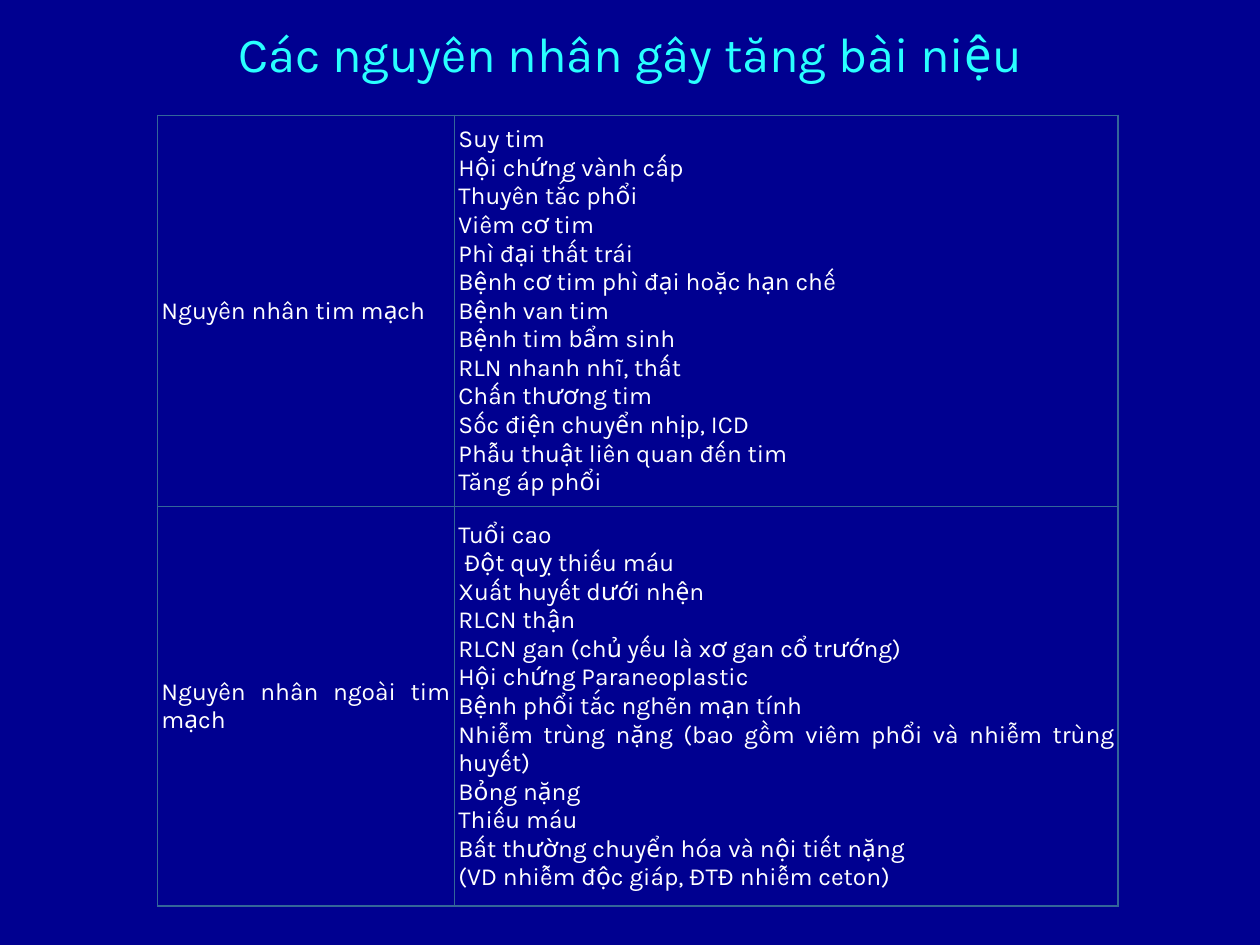
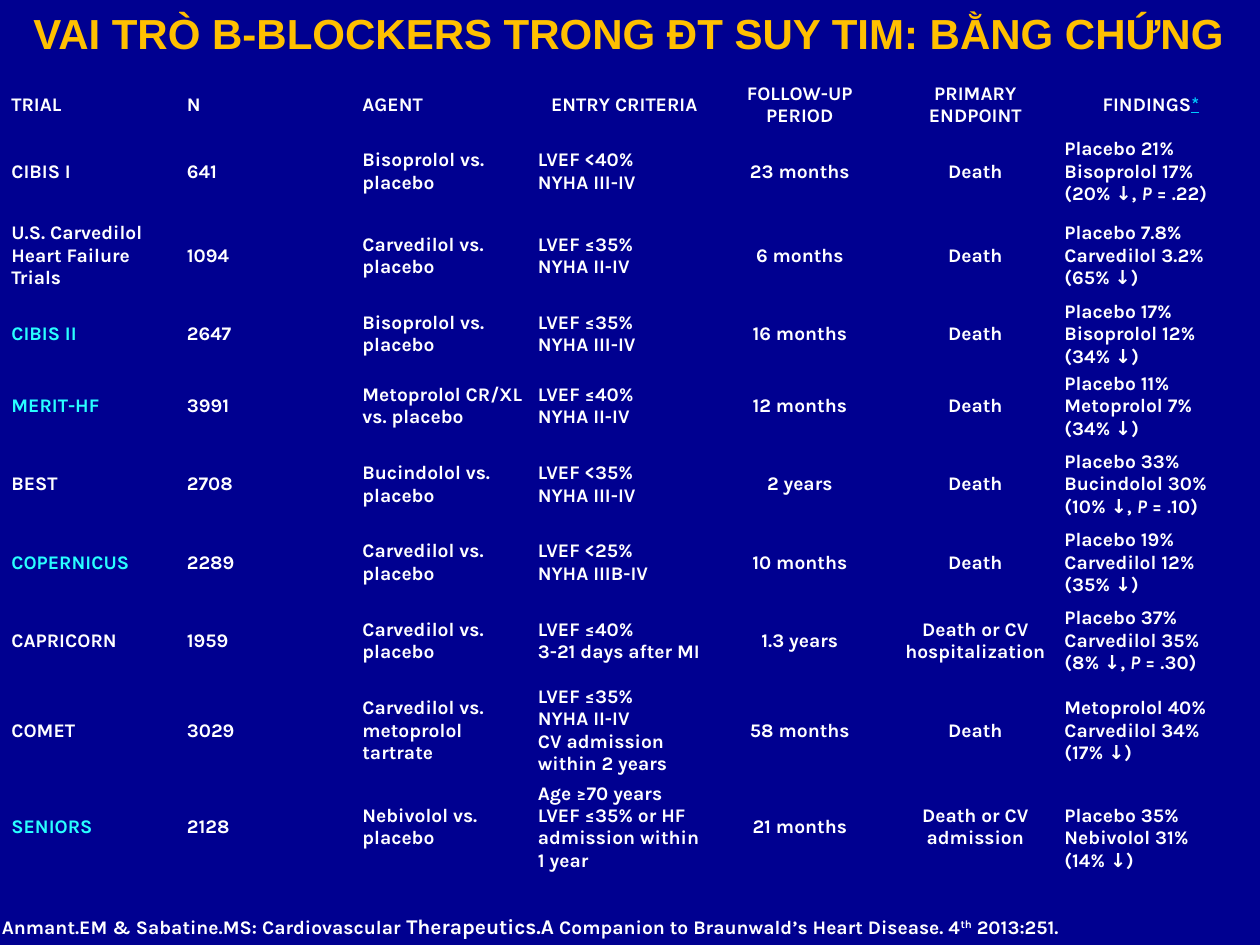
from copy import deepcopy

from lxml import etree
from pptx import Presentation
from pptx.dml.color import RGBColor
from pptx.enum.text import MSO_ANCHOR, PP_ALIGN
from pptx.oxml.ns import qn
from pptx.util import Pt

MIDDLE, TOP = MSO_ANCHOR.MIDDLE, MSO_ANCHOR.TOP
LEFT, CENTER, JUSTIFY = PP_ALIGN.LEFT, PP_ALIGN.CENTER, PP_ALIGN.JUSTIFY
FONT, HEADLINE_FONT = "Karla", "Arial"
PLAIN_TABLE_STYLE = "{2D5ABB26-0587-4C30-8999-92F81FD0307C}"
COLORS = {
    "background": "000090",
    "text": "FFFFFF",
    "accent": "29FFFF",
    "headline": "FFC000",
    "link": "00CCFF",
    "grid": "336699",
}


def write_text(paragraph, text, size, color="text", bold=False, font=FONT, align=LEFT):
    """Fill a paragraph; "|" separates runs and a newline is a line break."""
    first, *others = text.split("|")
    paragraph.text = first
    for piece in others:
        paragraph.add_run().text = piece
    paragraph.alignment = align
    for run in paragraph.runs:
        run.font.name = font
        run.font.size = Pt(size)
        run.font.bold = bold
        run.font.color.rgb = RGBColor.from_string(COLORS[color])
    for line_break in paragraph._p.findall(qn("a:br")):
        line_break.append(deepcopy(paragraph.runs[0]._r.rPr))


def add_plain_table(slide, left, top, widths, heights, margin):
    """Add a table without style or fill, its text centred vertically."""
    table = slide.shapes.add_table(
        len(heights), len(widths), Pt(left), Pt(top), Pt(sum(widths)), Pt(sum(heights))
    ).table
    table._tbl.tblPr.find(qn("a:tableStyleId")).text = PLAIN_TABLE_STYLE
    table.first_row = table.horz_banding = False
    for column, width in zip(table.columns, widths):
        column.width = Pt(width)
    for row, height in zip(table.rows, heights):
        row.height = Pt(height)
    for cell in table.iter_cells():
        cell.fill.background()
        cell.vertical_anchor = MIDDLE
        cell.margin_left = cell.margin_right = Pt(margin)
        cell.margin_top = cell.margin_bottom = Pt(margin)
    return table


presentation = Presentation()
presentation.slide_width, presentation.slide_height = Pt(720), Pt(540)
slides = []
for _ in range(2):
    slide = presentation.slides.add_slide(presentation.slide_layouts[6])
    slide.background.fill.solid()
    slide.background.fill.fore_color.rgb = RGBColor.from_string(COLORS["background"])
    slides.append(slide)
causes_slide, trials_slide = slides

# Text boxes: slide, position and size, anchor, text and its style
text_boxes = [
    (causes_slide, (36, -23.75, 648, 108), MIDDLE, "Các nguyên nhân gây tăng bài niệu",
     dict(size=28, color="accent", align=CENTER)),
    (trials_slide, (-6, 518.5, 726, 21.5), TOP,
     "Anmant.EM & Sabatine.MS: Cardiovascular |Therapeutics.A"
     "| Companion to Braunwald’s Heart Disease. 4|th| 2013:251.",
     dict(size=11, bold=True)),
    (trials_slide, (12, 0.75, 708, 36.5), TOP,
     "VAI TRÒ Β-BLOCKERS TRONG ĐT SUY TIM: BẰNG CHỨNG",
     dict(size=24, color="headline", bold=True, font=HEADLINE_FONT)),
]
for slide, position, anchor, text, style in text_boxes:
    text_frame = slide.shapes.add_textbox(*map(Pt, position)).text_frame
    text_frame.word_wrap = True
    text_frame.vertical_anchor = anchor
    paragraph = text_frame.paragraphs[0]
    write_text(paragraph, text, **style)
    for run in paragraph.runs:
        if run.text == "Therapeutics.A":
            run.font.size = Pt(12)
        elif run.text == "th":
            run._r.rPr.set("baseline", "30000")

# Causes
causes = [
    ("Nguyên nhân tim mạch", [
        "Suy tim",
        "Hội chứng vành cấp",
        "Thuyên tắc phổi",
        "Viêm cơ tim",
        "Phì đại thất trái",
        "Bệnh cơ tim phì đại hoặc hạn chế",
        "Bệnh van tim",
        "Bệnh tim bẩm sinh",
        "RLN nhanh nhĩ, thất",
        "Chấn thương tim",
        "Sốc điện chuyển nhịp, ICD",
        "Phẫu thuật liên quan đến tim",
        "Tăng áp phổi",
    ]),
    ("Nguyên nhân ngoài tim mạch", [
        "Tuổi cao",
        " Đột quỵ thiếu máu",
        "Xuất huyết dưới nhện",
        "RLCN thận",
        "RLCN gan (chủ yếu là xơ gan cổ trướng)",
        "Hội chứng Paraneoplastic",
        "Bệnh phổi tắc nghẽn mạn tính",
        "Nhiễm trùng nặng (bao gồm viêm phổi và nhiễm trùng huyết)",
        "Bỏng nặng",
        "Thiếu máu",
        "Bất thường chuyển hóa và nội tiết nặng",
        "(VD nhiễm độc giáp, ĐTĐ nhiễm ceton)",
    ]),
]
causes_table = add_plain_table(causes_slide, 90, 66, [169.75, 379.25], [223.5, 228.25], 2.25)
for row, (group, items) in enumerate(causes):
    for column, lines in enumerate([[group], items]):
        text_frame = causes_table.cell(row, column).text_frame
        text_frame.text = "\n".join(lines)
        for paragraph, line in zip(text_frame.paragraphs, lines):
            write_text(paragraph, line, 14, align=JUSTIFY)
for cell in causes_table.iter_cells():
    properties = cell._tc.get_or_add_tcPr()
    for index, edge in enumerate(["a:lnL", "a:lnR", "a:lnT", "a:lnB"]):
        border = etree.Element(qn(edge), w=str(Pt(1)))
        fill = etree.SubElement(border, qn("a:solidFill"))
        etree.SubElement(fill, qn("a:srgbClr"), val=COLORS["grid"])
        properties.insert(index, border)

# Trials
trials = [
    ("TRIAL", "N", "AGENT", "ENTRY CRITERIA", "FOLLOW-UP PERIOD", "PRIMARY ENDPOINT",
     "FINDINGS|*"),
    ("CIBIS I", "641", "Bisoprolol vs. placebo", "LVEF <40%\nNYHA III-IV", "23 months",
     "Death", "Placebo 21%\nBisoprolol 17%\n(20% ↓, |P| = .22)"),
    ("U.S. Carvedilol Heart Failure Trials", "1094", "Carvedilol vs. placebo",
     "LVEF ≤35%\nNYHA II-IV", "6 months", "Death",
     "Placebo 7.8%\nCarvedilol 3.2%\n(65% ↓)"),
    ("CIBIS II", "2647", "Bisoprolol vs. placebo", "LVEF ≤35%\nNYHA III-IV", "16 months",
     "Death", "Placebo 17%\nBisoprolol 12%\n(34% ↓)"),
    ("MERIT-HF", "3991", "Metoprolol CR/XL vs. placebo", "LVEF ≤40%\nNYHA II-IV",
     "12 months", "Death", "Placebo 11%\nMetoprolol 7%\n(34% ↓)"),
    ("BEST", "2708", "Bucindolol vs. placebo", "LVEF <35%\nNYHA III-IV", "2 years",
     "Death", "Placebo 33%\nBucindolol 30%\n(10% ↓, |P| = .10)"),
    ("COPERNICUS", "2289", "Carvedilol vs. placebo", "LVEF <25%\nNYHA IIIB-IV",
     "10 months", "Death", "Placebo 19%\nCarvedilol 12%\n(35% ↓)"),
    ("CAPRICORN", "1959", "Carvedilol vs. placebo", "LVEF ≤40%\n3-21 days after MI",
     "1.3 years", "Death or CV hospitalization",
     "Placebo 37%\nCarvedilol 35%\n(8% ↓, |P| = .30)"),
    ("COMET", "3029", "Carvedilol vs. metoprolol tartrate",
     "LVEF ≤35%\nNYHA II-IV\nCV admission within 2 years", "58 months", "Death",
     "Metoprolol 40%\nCarvedilol 34%\n(17% ↓)"),
    ("SENIORS", "2128", "Nebivolol vs. placebo",
     "Age ≥70 years\nLVEF ≤35% or HF admission within 1 year", "21 months",
     "Death or CV admission", "Placebo 35%\nNebivolol 31%\n(14% ↓)"),
]
highlighted_trials = {"CIBIS II", "MERIT-HF", "COPERNICUS", "SENIORS"}
row_heights = [27.25, 48.25, 48.25, 41, 41, 48.25, 41, 48.25, 54, 56.25]
trials_table = add_plain_table(trials_slide, 5.75, 46, [100.29] * 7, row_heights, 0.75)
for row, trial in enumerate(trials):
    for column, text in enumerate(trial):
        centered = column in (4, 5) or (row == 0 and column >= 3)
        paragraph = trials_table.cell(row, column).text_frame.paragraphs[0]
        write_text(
            paragraph, text, 11, bold=True,
            color="accent" if text in highlighted_trials else "text",
            align=CENTER if centered else LEFT,
        )
        for run in paragraph.runs:
            if run.text == "P":
                run.font.italic = True
            elif run.text == "*":
                run.font.underline = True
                run.font.color.rgb = RGBColor.from_string(COLORS["link"])
# The last findings sit half a line lower than the rest of their row
trials_table.cell(len(trials) - 1, 6).margin_top = Pt(13.5)

presentation.save("out.pptx")
